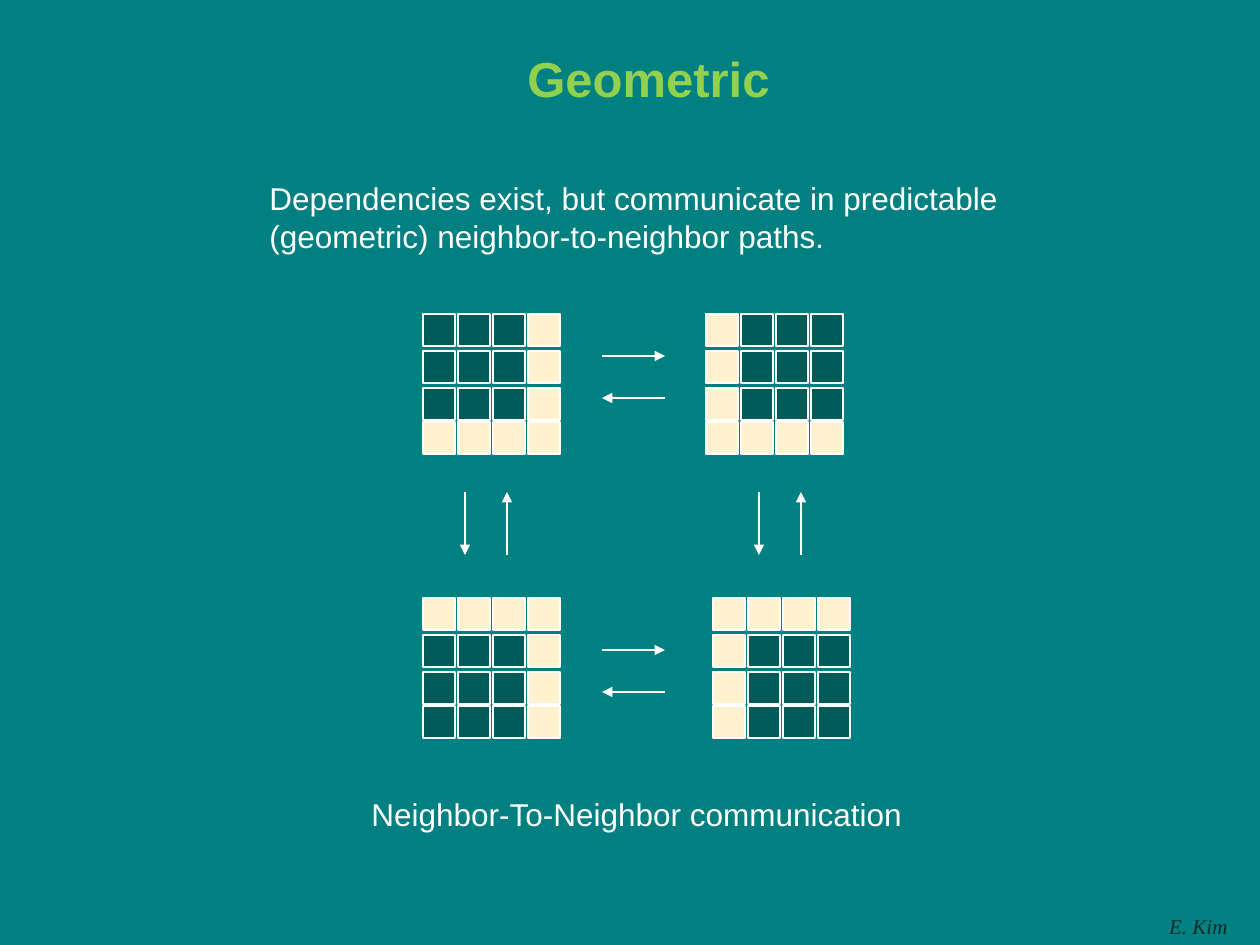
from lxml import etree
from pptx import Presentation
from pptx import util as u
from pptx.dml.color import RGBColor
from pptx.enum import shapes, text
from pptx.oxml import ns

PX = 914400 / 126
TEAL = RGBColor(0x00, 0x80, 0x80)
DARK_TEAL = RGBColor(0x00, 0x5A, 0x58)
INK = RGBColor(0x00, 0x2D, 0x2C)
CREAM = RGBColor(0xFF, 0xF2, 0xCF)
WHITE = RGBColor(0xFF, 0xFF, 0xFF)
GREEN = RGBColor(0x92, 0xD0, 0x50)

CELL = 32
COLUMN_OFFSETS = (0, 35, 70, 105)
ROW_OFFSETS = (0, 37, 74, 108)
ARROW_LENGTH = 63
ARROW_GAP = 42


def px(length):
    """Turn a pixel length into EMU."""
    return u.Emu(round(length * PX))


def add_text(slide, box, lines, size, color, font="Arial", align=text.PP_ALIGN.LEFT,
             wrap=True, bold=False, italic=False):
    """Place one paragraph per line in the box and return the shape."""
    shape = slide.shapes.add_textbox(*map(px, box))
    frame = shape.text_frame
    frame.word_wrap = wrap
    for index, line in enumerate(lines):
        paragraph = frame.add_paragraph() if index else frame.paragraphs[0]
        paragraph.alignment = align
        run = paragraph.add_run()
        run.text = line
        run.font.size = u.Pt(size)
        run.font.color.rgb = color
        run.font.bold = bold
        run.font.italic = italic
        run.font.name = font
    return shape


def add_title(slide, box, title):
    """Place the centred title with a soft text shadow."""
    shape = add_text(slide, box, [title], 28, GREEN,
                     align=text.PP_ALIGN.CENTER, wrap=False, bold=True)
    shape.text_frame.vertical_anchor = text.MSO_ANCHOR.MIDDLE
    properties = shape.text_frame.paragraphs[0].runs[0].font.fill._xPr
    effects = etree.Element(ns.qn("a:effectLst"))
    shadow = etree.SubElement(effects, ns.qn("a:outerShdw"), blurRad="38100",
                              dist="38100", dir="5400000", algn="tl")
    black = etree.SubElement(shadow, ns.qn("a:srgbClr"), val="000000")
    etree.SubElement(black, ns.qn("a:alpha"), val="43000")
    properties.find(ns.qn("a:solidFill")).addnext(effects)


def add_block(slide, left, top, edge_column, edge_row):
    """Draw a four by four block with its shared edge cells highlighted."""
    for row, y in enumerate(ROW_OFFSETS):
        for column, x in enumerate(COLUMN_OFFSETS):
            cell = slide.shapes.add_shape(shapes.MSO_SHAPE.RECTANGLE, px(left + x),
                                          px(top + y), px(CELL), px(CELL))
            shared = column == edge_column or row == edge_row
            cell.shadow.inherit = False
            cell.fill.solid()
            cell.fill.fore_color.rgb = CREAM if shared else DARK_TEAL
            cell.line.color.rgb = WHITE
            cell.line.width = u.Pt(0.75)


def add_arrow(slide, start, end):
    """Draw a thin white arrow from start to end."""
    arrow = slide.shapes.add_connector(shapes.MSO_CONNECTOR.STRAIGHT,
                                       *map(px, start + end))
    arrow.line.color.rgb = WHITE
    arrow.line.width = u.Pt(0.75)
    etree.SubElement(arrow.line._get_or_add_ln(), ns.qn("a:tailEnd"), type="triangle")
    etree.SubElement(arrow._element.spPr, ns.qn("a:effectLst"))


def add_exchange(slide, left, top, horizontal):
    """Draw a pair of opposite arrows side by side."""
    if horizontal:
        right, lower = left + ARROW_LENGTH, top + ARROW_GAP
        add_arrow(slide, (left, top), (right, top))
        add_arrow(slide, (right, lower), (left, lower))
    else:
        right, lower = left + ARROW_GAP, top + ARROW_LENGTH
        add_arrow(slide, (left, top), (left, lower))
        add_arrow(slide, (right, lower), (right, top))


def add_neighbor_diagram(slide, left, top):
    """Draw the four blocks and the exchanges between them."""
    add_block(slide, left, top, 3, 3)
    add_block(slide, left, top + 284, 3, 0)
    add_block(slide, left + 283, top, 0, 3)
    add_block(slide, left + 290, top + 284, 0, 0)
    for y in (42, 336):
        add_exchange(slide, left + 179, top + y, True)
    for x in (42, 336):
        add_exchange(slide, left + x, top + 178, False)


def build_geometric_slide(presentation):
    """Add the slide on geometric communication."""
    slide = presentation.slides.add_slide(presentation.slide_layouts[6])
    slide.background.fill.solid()
    slide.background.fill.fore_color.rgb = TEAL
    add_title(slide, (513, 42, 271, 72), "Geometric")
    add_neighbor_diagram(slide, 423, 314)
    add_text(slide, (257, 173, 765, 89),
             ["Dependencies exist, but communicate in predictable",
              "(geometric) neighbor-to-neighbor paths."], 18, WHITE)
    add_text(slide, (359, 789, 561, 50), ["Neighbor-To-Neighbor communication"],
             18, WHITE, wrap=False)
    add_text(slide, (998, 907, 242, 38), ["E. Kim"], 12, INK, "Times New Roman",
             text.PP_ALIGN.RIGHT, italic=True)


def main():
    """Build and save the presentation."""
    presentation = Presentation()
    presentation.slide_width = px(1260)
    presentation.slide_height = px(945)
    build_geometric_slide(presentation)
    presentation.save("out.pptx")


if __name__ == "__main__":
    main()
